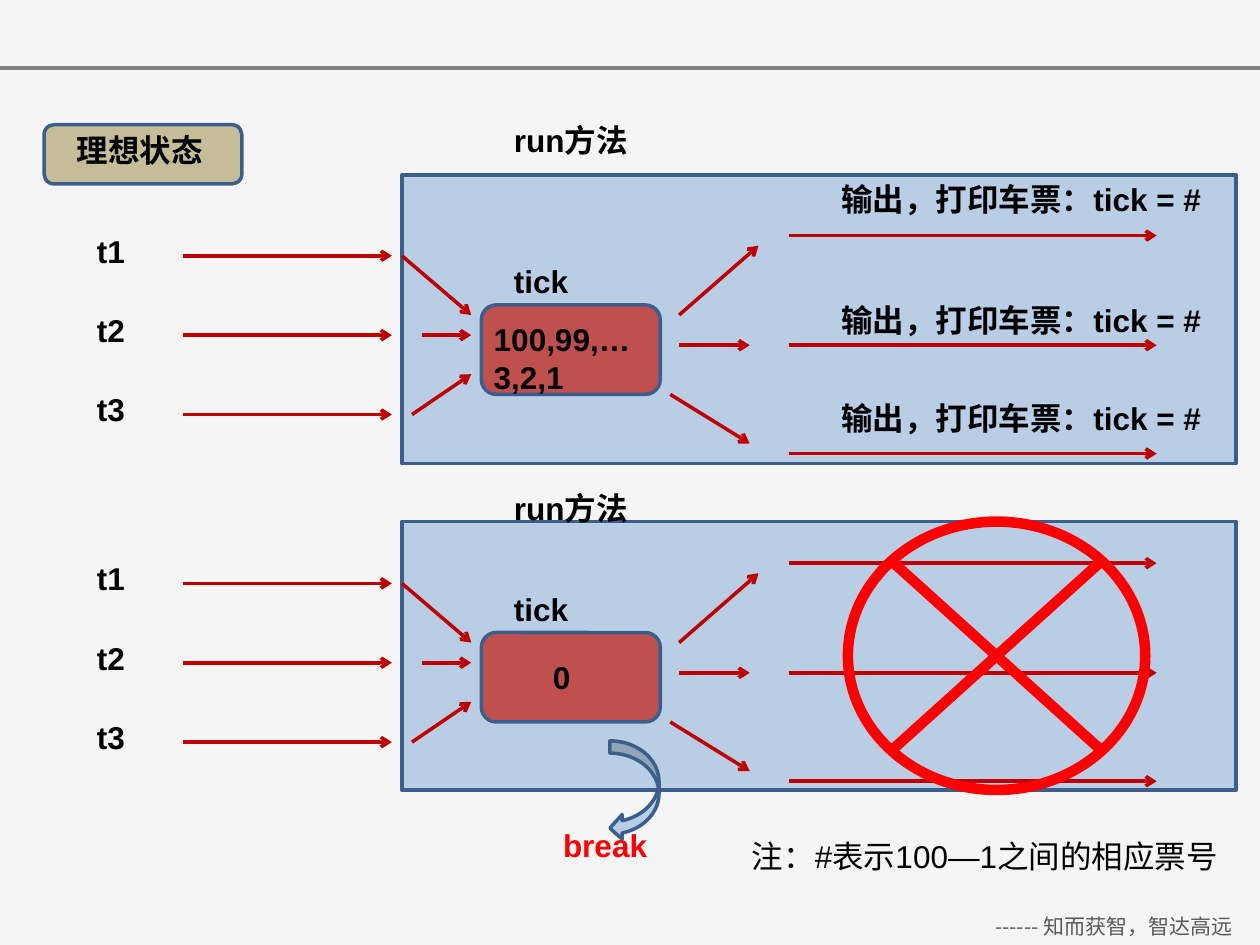
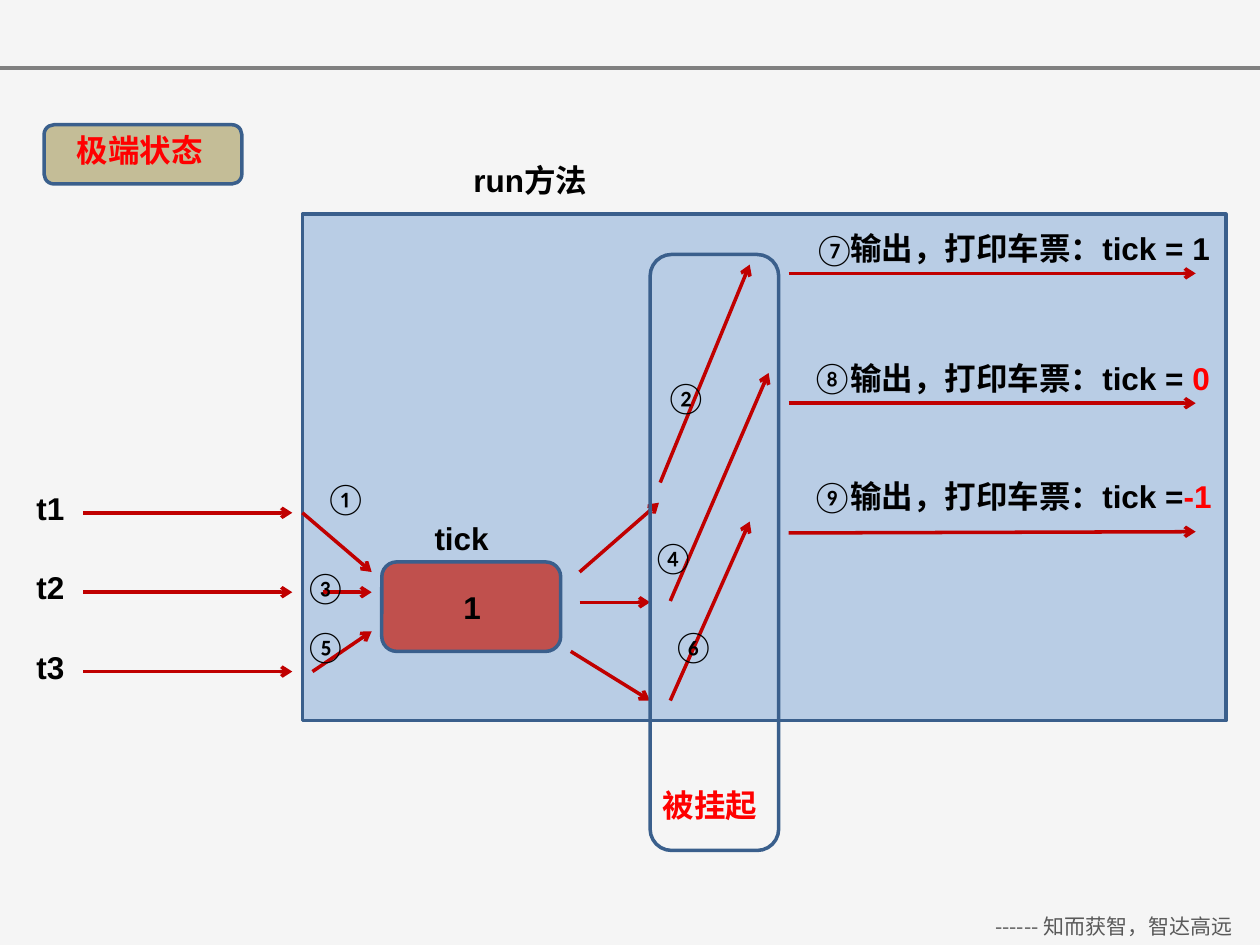
from lxml import etree
from pptx import Presentation
from pptx import util as u
from pptx.dml.color import RGBColor
from pptx.enum import shapes, text
from pptx.oxml.ns import qn

PX = 9144
COLORS = {"page": "F5F5F5", "rule": "808080", "footer": "595959", "edge": "3A5F8C",
          "badge": "C4BD97", "panel": "B9CDE5", "tick": "C0504D",
          "arrow": "C00000", "red": "FF0000", "black": "000000"}
CJK = "Noto Sans CJK SC"
SHAPE = shapes.MSO_SHAPE

FOOTER = "------ 知而获智，智达高远"
THREADS = ["t1", "t2", "t3"]
THREAD_STEP = 63
RUN = "run方法"
PRINT = "输出，打印车票：tick ="

INFLOW = [((-63, -39), (-8, 8)), ((-47, 24), (-8, 24)), ((-55, 87), (-8, 55))]
OUTFLOW = [((157, 8), (220, -47)), ((157, 32), (213, 32)), ((150, 71), (213, 110))]

IDEAL_TICKS = [(382, 242), (382, 502)]
IDEAL_PANELS = [(319, 139, 662, 229), (319, 414, 662, 213)]
IDEAL_RUNS = [(398, 91, 134, 40), (398, 383, 134, 40)]
IDEAL_VALUES = [("100,99,…3,2,1", (382, 249, 142, 71)), ("0", (429, 517, 79, 40))]
IDEAL_PRINT_TOPS = [138, 234, 312]
IDEAL_OUTPUT_RISES = [-55, 32, 118]

EXTREME_TICK = (303, 446)
SUSPENDED = [((524, 383), (595, 210)), ((532, 477), (610, 296)), ((532, 556), (595, 414))]
STEPS = [("①", 248, 375), ("②", 518, 295), ("③", 232, 446), ("④", 508, 422),
         ("⑤", 232, 493), ("⑥", 524, 493), ("⑦", 636, 178), ("⑧", 634, 279), ("⑨", 634, 374)]
EXTREME_PRINTS = [(177, 315, [(PRINT + " 1", "black")]),
                  (280, 315, [(PRINT + " ", "black"), ("0", "red")]),
                  (374, 335, [(PRINT, "black"), ("-1", "red")])]
EXTREME_OUTPUTS = [((626, 217), (949, 217)), ((626, 320), (949, 320)), ((626, 423), (949, 422))]


def rgb(name):
    return RGBColor.from_string(COLORS[name])


def emu(*lengths):
    return [u.Emu(n * PX) for n in lengths]


def add_label(s, parts, box, color="black", font="Arial", size=18, bold=True, wrap=True):
    tf = s.shapes.add_textbox(*emu(*box)).text_frame
    tf.word_wrap = wrap
    tf.auto_size = text.MSO_AUTO_SIZE.SHAPE_TO_FIT_TEXT
    p = tf.paragraphs[0]
    for words, part_color in [(parts, color)] if isinstance(parts, str) else parts:
        r = p.add_run()
        r.text = words
        r.font.name, r.font.size, r.font.bold = font, u.Pt(size), bold
        r.font.color.rgb = rgb(part_color)
        etree.SubElement(r.font._element, qn("a:ea")).set("typeface", CJK)
    return p


def add_block(s, kind, box, fill=None, edge="edge", weight=2):
    sp = s.shapes.add_shape(kind, *emu(*box))
    sp.shadow.inherit = False
    if fill:
        sp.fill.solid()
        sp.fill.fore_color.rgb = rgb(fill)
    else:
        sp.fill.background()
    sp.line.color.rgb = rgb(edge)
    sp.line.width = u.Pt(weight)


def add_line(s, start, end, color="arrow", arrow=True):
    line = s.shapes.add_connector(shapes.MSO_CONNECTOR.STRAIGHT, *emu(*start, *end))
    line.line.color.rgb = rgb(color)
    line.line.width = u.Pt(2)
    sp_pr = line._element.spPr
    if arrow:
        etree.SubElement(sp_pr.find(qn("a:ln")), qn("a:tailEnd")).set("type", "arrow")
    etree.SubElement(sp_pr, qn("a:effectLst"))


def add_page(prs, state, color):
    s = prs.slides.add_slide(prs.slide_layouts[6])
    add_line(s, (0, 54), (1000, 54), "rule", arrow=False)
    p = add_label(s, FOOTER, (768, 720, 232, 30), "footer", CJK, 12, bold=False)
    p.alignment = text.PP_ALIGN.CENTER
    add_block(s, SHAPE.ROUNDED_RECTANGLE, (35, 99, 157, 47), "badge")
    add_label(s, state, (51, 99, 134, 40), color)
    return s


def add_flow(s, origin, thread_dx, tick_dx):
    x, y = origin
    add_block(s, SHAPE.ROUNDED_RECTANGLE, (x, y, 142, 71), "tick")
    add_label(s, "tick", (x + tick_dx, y - 39, 142, 40))
    for i, name in enumerate(THREADS):
        top = y + (i - 1) * THREAD_STEP
        add_label(s, name, (x + thread_dx, top, 102, 40))
        add_line(s, (x - 237, top + 24), (x - 71, top + 24))
    for (x1, y1), (x2, y2) in INFLOW + OUTFLOW:
        add_line(s, (x + x1, y + y1), (x + x2, y + y2))


def build_ideal(prs):
    s = add_page(prs, "理想状态", "black")
    for panel, run, tick in zip(IDEAL_PANELS, IDEAL_RUNS, IDEAL_TICKS):
        add_block(s, SHAPE.RECTANGLE, panel, "panel")
        add_label(s, RUN, run)
        add_flow(s, tick, -315, 16)
        for rise in IDEAL_OUTPUT_RISES:
            add_line(s, (626, tick[1] + rise), (918, tick[1] + rise))
    for value, box in IDEAL_VALUES:
        add_label(s, value, box)
    for top in IDEAL_PRINT_TOPS:
        add_label(s, PRINT + " #", (658, top, 315, 40))
    add_block(s, SHAPE.FLOWCHART_SUMMING_JUNCTION, (673, 414, 236, 213), edge="red", weight=6)
    add_block(s, SHAPE.CURVED_LEFT_ARROW, (484, 588, 39, 79), "panel")
    add_label(s, "break", (437, 651, 118, 40), "red")
    add_label(s, "注：#表示100—1之间的相应票号", (587, 659, 413, 40), bold=False)


def build_extreme(prs):
    s = add_page(prs, "极端状态", "red")
    add_block(s, SHAPE.RECTANGLE, (240, 170, 733, 402), "panel")
    add_label(s, RUN, (366, 123, 134, 40))
    add_flow(s, EXTREME_TICK, -284, 32)
    add_label(s, "1", (358, 462, 63, 40))
    for start, end in SUSPENDED + EXTREME_OUTPUTS:
        add_line(s, start, end)
    add_block(s, SHAPE.ROUNDED_RECTANGLE, (516, 202, 102, 473))
    add_label(s, "被挂起", (516, 619, 102, 40), "red")
    for number, x, y in STEPS:
        add_label(s, number, (x, y, 45, 40), font="Calibri", bold=False, wrap=False)
    for top, width, parts in EXTREME_PRINTS:
        add_label(s, parts, (665, top, width, 40))


def main():
    prs = Presentation()
    prs.slide_width, prs.slide_height = emu(1000, 750)
    fill = prs.slide_master.background.fill
    fill.solid()
    fill.fore_color.rgb = rgb("page")
    build_ideal(prs)
    build_extreme(prs)
    prs.save("out.pptx")


if __name__ == "__main__":
    main()
